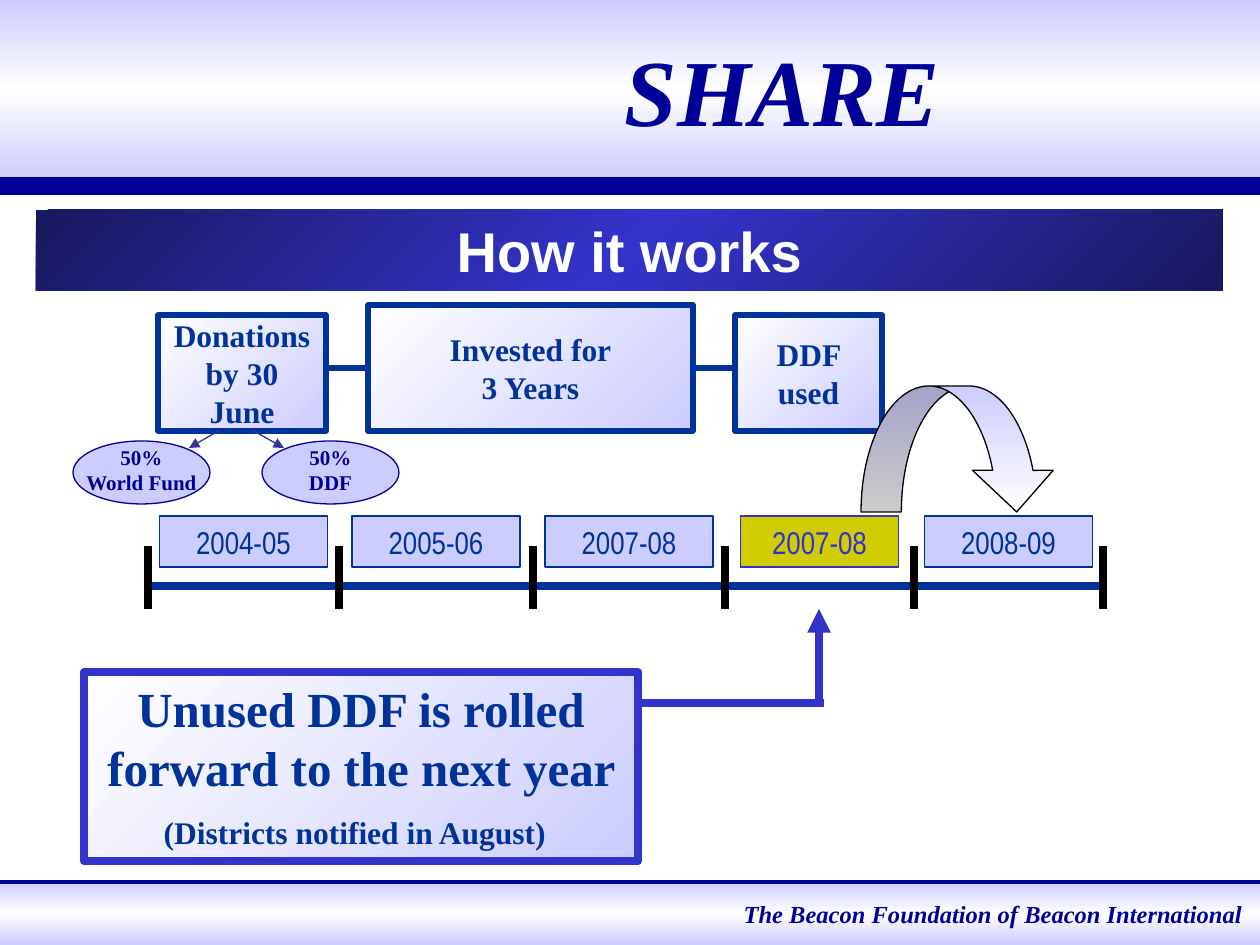
from copy import deepcopy
from itertools import pairwise

from pptx import Presentation
from pptx.dml.color import RGBColor
from pptx.enum.shapes import MSO_CONNECTOR, MSO_SHAPE
from pptx.enum.text import MSO_ANCHOR, PP_ALIGN
from pptx.oxml.ns import qn
from pptx.oxml.xmlchemy import OxmlElement
from pptx.util import Emu, Pt

PX = 914400 / 126
NAVY = RGBColor(0x00, 0x00, 0x99)
BLUE = RGBColor(0x00, 0x33, 0x99)
ROYAL = RGBColor(0x33, 0x33, 0xCC)
INDIGO = RGBColor(0x33, 0x33, 0x99)
MIDNIGHT = RGBColor(0x18, 0x18, 0x5E)
LAVENDER = RGBColor(0xCC, 0xCC, 0xFF)
OLIVE = RGBColor(0xD2, 0xCD, 0x00)
WHITE = RGBColor(0xFF, 0xFF, 0xFF)
BLACK = RGBColor(0x00, 0x00, 0x00)
SERIF = "Times New Roman"

TICKS = (148, 339, 533, 725, 914, 1103)
YEARS = ("2004-05", "2005-06", "2007-08", "2007-08", "2008-09")
ROLLED_YEAR = 3


def px(*values):
    return [Emu(round(v * PX)) for v in values]


def write(tf, *paras, size=18, font=SERIF, color=BLUE, bold=True, italic=False,
          align=PP_ALIGN.CENTER, anchor=MSO_ANCHOR.MIDDLE, wrap=True,
          spacing=None, before=0):
    """Fill a text frame; a paragraph is a string or a tuple of (text, size) runs."""
    tf.word_wrap = wrap
    tf.vertical_anchor = anchor
    for i, para in enumerate(paras):
        p = tf.add_paragraph() if i else tf.paragraphs[0]
        p.alignment = align
        p.space_before = Pt(before if i else 0)
        if spacing:
            p.line_spacing = spacing
        runs = ((para, size),) if isinstance(para, str) else para
        for text, run_size in runs:
            r = p.add_run()
            r.text = text
            r.font.name = font
            r.font.size = Pt(run_size)
            r.font.bold = bold
            r.font.italic = italic
            r.font.color.rgb = color


def paint(sp, colors, angle):
    """Fill with one colour, or with an even gradient turned clockwise by angle."""
    if len(colors) == 1:
        sp.fill.solid()
        sp.fill.fore_color.rgb = colors[0]
        return
    sp.fill.gradient()
    sp.fill.gradient_angle = 360 - angle
    stops = sp._element.spPr.find(qn("a:gradFill")).find(qn("a:gsLst"))
    for _ in colors[2:]:
        stops.append(deepcopy(stops[0]))
    for i, (stop, color) in enumerate(zip(sp.fill.gradient_stops, colors)):
        stop.position = i / (len(colors) - 1)
        stop.color.rgb = color


def add_box(slide, x, y, w, h, *colors, kind=MSO_SHAPE.RECTANGLE, angle=45,
            line=None, weight=0.75):
    sp = slide.shapes.add_shape(kind, *px(x, y, w, h))
    sp.shadow.inherit = False
    paint(sp, colors, angle)
    if line is None:
        sp.line.fill.background()
    else:
        sp.line.color.rgb = line
        sp.line.width = Pt(weight)
    return sp


def add_line(slide, x1, y1, x2, y2, color, weight, arrow=False):
    c = slide.shapes.add_connector(MSO_CONNECTOR.STRAIGHT, *px(x1, y1, x2, y2))
    c.line.color.rgb = color
    c.line.width = Pt(weight)
    if arrow:
        tail = OxmlElement("a:tailEnd")
        tail.set("type", "triangle")
        c.line._get_or_add_ln().append(tail)
    c._element.spPr.append(OxmlElement("a:effectLst"))
    return c


def add_bands(slide):
    for y, h in ((0, 180), (882, 63)):
        add_box(slide, 0, y, 1260, h, LAVENDER, WHITE, LAVENDER, angle=90)
    tb = slide.shapes.add_textbox(*px(625, 892, 630, 43))
    write(tb.text_frame, "The Beacon Foundation of Beacon International", size=14,
          color=NAVY, italic=True, align=PP_ALIGN.RIGHT)
    add_line(slide, 0, 186, 1260, 186, NAVY, 10.75)
    add_line(slide, 0, 882, 1260, 882, NAVY, 2.25)


def add_headings(slide):
    title = slide.shapes.title
    title.left, title.top, title.width, title.height = px(305, 10, 955, 158)
    write(title.text_frame, "SHARE", size=54, color=NAVY, italic=True)
    slide.shapes._spTree.append(title._element)  # in front of the top band
    banner = add_box(slide, 36, 210, 1187, 81, MIDNIGHT, ROYAL, MIDNIGHT)
    write(banner.text_frame, "How it works", size=32, font="Arial", color=WHITE)


def add_stages(slide):
    stages = (
        (158, 315, 168, 116, ("Donations by 30 June",)),
        (368, 305, 325, 126, ("Invested for", "3 Years")),
        (735, 315, 147, 116, ("DDF used",)),
    )
    boxes = []
    for x, y, w, h, paras in stages:
        sp = add_box(slide, x, y, w, h, WHITE, LAVENDER, line=BLUE, weight=3)
        write(sp.text_frame, *paras)
        boxes.append(sp)
    invested = boxes[1]
    add_line(slide, 326, 368, 368, 368, BLUE, 3).end_connect(invested, 1)
    add_line(slide, 693, 368, 735, 368, BLUE, 3).begin_connect(invested, 3)


def add_split(slide):
    """The two halves into which donations are divided."""
    for x, fund, start, end in ((73, "World Fund", 220, 189), (262, "DDF", 252, 284)):
        sp = add_box(slide, x, 441, 137, 63, LAVENDER, kind=MSO_SHAPE.OVAL, line=NAVY)
        write(sp.text_frame, "50%", fund, size=12, color=NAVY, wrap=False,
              spacing=0.75, before=3.7)
        add_line(slide, start, 430, end, 448, INDIGO, 0.75, arrow=True)


def add_timeline(slide):
    for start, end in pairwise(TICKS):
        add_line(slide, start, 586, end, 586, BLUE, 4.5)
    for x in TICKS:
        add_line(slide, x, 546, x, 609, BLACK, 4.5)
    for i, (year, (start, end)) in enumerate(zip(YEARS, pairwise(TICKS))):
        rolled = i == ROLLED_YEAR
        w = 158 if rolled else 168
        color = ROYAL if rolled else BLUE
        sp = add_box(slide, (start + end - w) / 2, 516, w, 51,
                     OLIVE if rolled else LAVENDER, line=color)
        write(sp.text_frame, year, font="Arial Narrow", color=color, bold=False,
              anchor=MSO_ANCHOR.BOTTOM)


def add_rollover(slide):
    curve = add_box(slide, 861, 386, 196, 126, LAVENDER, WHITE, angle=90,
                    kind=MSO_SHAPE.CURVED_DOWN_ARROW, line=BLACK)
    for i, value in enumerate((0.32, 0.64, 0.33)):
        curve.adjustments[i] = value
    note = add_box(slide, 84, 672, 554, 189, WHITE, LAVENDER, line=ROYAL, weight=4.5)
    write(note.text_frame, (("Unused DDF is rolled forward to the next year ", 28),
                            ("(Districts notified in August)", 18), (" ", 28)))
    add_line(slide, 638, 703, 824, 703, ROYAL, 4.5)
    add_line(slide, 819, 703, 819, 609, ROYAL, 4.5, arrow=True)


def main():
    prs = Presentation()
    prs.slide_width, prs.slide_height = px(1260, 945)
    slide = prs.slides.add_slide(prs.slide_layouts[5])
    add_bands(slide)
    add_headings(slide)
    add_stages(slide)
    add_split(slide)
    add_timeline(slide)
    add_rollover(slide)
    prs.save("out.pptx")


if __name__ == "__main__":
    main()
